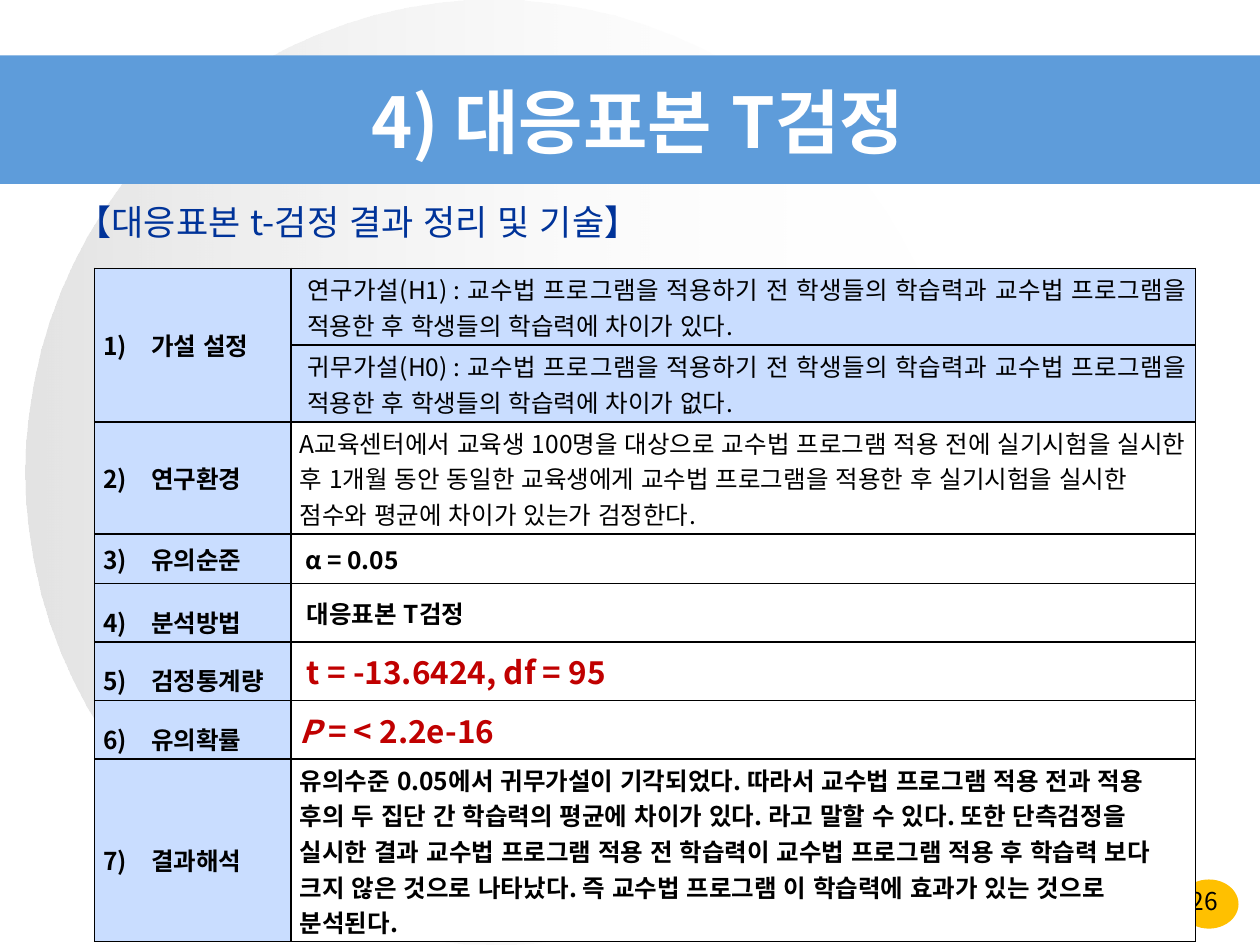
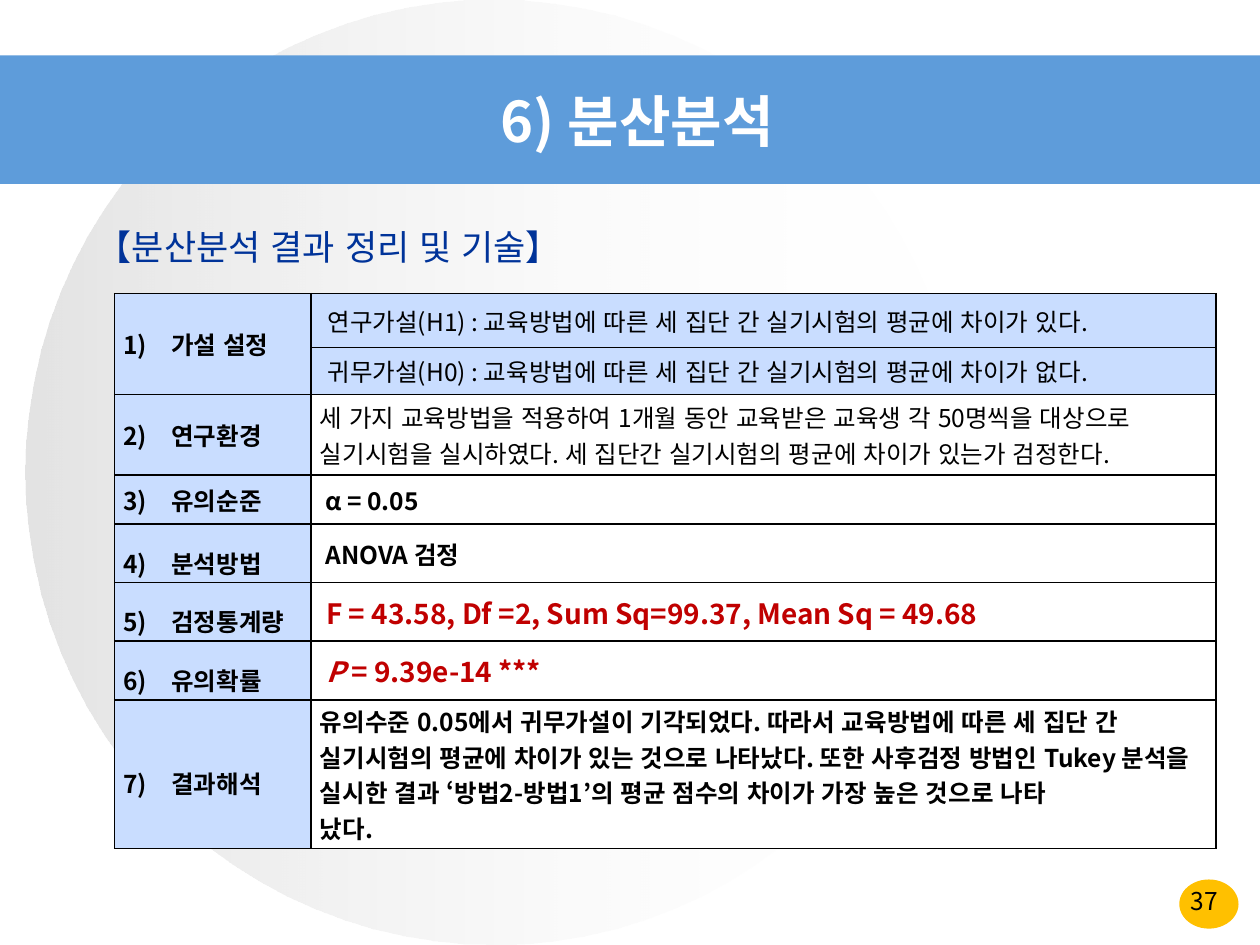
import pptx
import pptx.util
import pptx.dml.color
import pptx.enum.lang
import pptx.enum.shapes
import pptx.enum.text
import pptx.oxml
import pptx.oxml.ns

Inches, Pt = pptx.util.Inches, pptx.util.Pt
RGB = pptx.dml.color.RGBColor
SHAPE = pptx.enum.shapes.MSO_SHAPE
ALIGN = pptx.enum.text.PP_ALIGN
MIDDLE = pptx.enum.text.MSO_ANCHOR.MIDDLE
KOREAN = pptx.enum.lang.MSO_LANGUAGE_ID.KOREAN

FONT = "Noto Sans CJK KR"
WHITE = RGB(0xFF, 0xFF, 0xFF)
BLACK = RGB(0, 0, 0)
BAND = RGB(0x5E, 0x9C, 0xDA)
GOLD = RGB(0xFF, 0xC0, 0x00)
NAVY = RGB(0x00, 0x33, 0x99)
RED = RGB(0xC0, 0x00, 0x00)
PALE = RGB(0xC9, 0xDD, 0xFF)

W, H = 10, 7.5
COLS = [1.56, 7.18]
SHORT_ROWS = [0.39, 0.465, 0.465, 0.465]
LABELS = ["가설 설정", "연구환경", "유의순준", "분석방법", "검정통계량", "유의확률", "결과해석"]
STAT_ROWS = (5, 6)

SLIDES = [
    {
        "title": "4) 대응표본 T검정", "title_size": 40, "page": "26",
        "heading": "【대응표본 t-검정 결과 정리 및 기술】", "heading_at": (0.51, 1.55),
        "table_at": (0.75, 2.13), "top_rows": [0.61, 0.61, 0.89], "last_row": 1.45,
        "stat_size": 18,
        "results": [
            "연구가설(H1) : 교수법 프로그램을 적용하기 전 학생들의 학습력과 교수법 프로그램을 적용한 후 학생들의 학습력에 차이가 있다.",
            "귀무가설(H0) : 교수법 프로그램을 적용하기 전 학생들의 학습력과 교수법 프로그램을 적용한 후 학생들의 학습력에 차이가 없다.",
            "A교육센터에서 교육생 100명을 대상으로 교수법 프로그램 적용 전에 실기시험을 실시한 후 1개월 동안 동일한 교육생에게 교수법 프로그램을 적용한 후 실기시험을 실시한 점수와 평균에 차이가 있는가 검정한다.",
            " α = 0.05",
            " 대응표본 T검정",
            " t = -13.6424, df = 95",
            ["P", " = < 2.2e-16"],
            "유의수준 0.05에서 귀무가설이 기각되었다. 따라서 교수법 프로그램 적용 전과 적용 후의 두 집단 간 학습력의 평균에 차이가 있다. 라고 말할 수 있다. 또한 단측검정을 실시한 결과 교수법 프로그램 적용 전 학습력이 교수법 프로그램 적용 후 학습력 보다 크지 않은 것으로 나타났다. 즉 교수법 프로그램 이 학습력에 효과가 있는 것으로 분석된다.",
        ],
    },
    {
        "title": "6) 분산분석", "title_size": 32, "page": "37",
        "heading": "【분산분석 결과 정리 및 기술】", "heading_at": (0.67, 1.75),
        "table_at": (0.91, 2.33), "top_rows": [0.43, 0.37, 0.64], "last_row": 1.18,
        "stat_size": 16,
        "results": [
            "연구가설(H1) : 교육방법에 따른 세 집단 간 실기시험의 평균에 차이가 있다.",
            "귀무가설(H0) : 교육방법에 따른 세 집단 간 실기시험의 평균에 차이가 없다.",
            "세 가지 교육방법을 적용하여 1개월 동안 교육받은 교육생 각 50명씩을 대상으로 실기시험을 실시하였다. 세 집단간 실기시험의 평균에 차이가 있는가 검정한다.",
            " α = 0.05",
            " ANOVA 검정",
            " F = 43.58, Df =2, Sum Sq=99.37, Mean Sq = 49.68",
            [" ", "P", " = 9.39e-14 ***"],
            "유의수준 0.05에서 귀무가설이 기각되었다. 따라서 교육방법에 따른 세 집단 간 실기시험의 평균에 차이가 있는 것으로 나타났다. 또한 사후검정 방법인 Tukey 분석을 실시한 결과 ‘방법2-방법1’의 평균 점수의 차이가 가장 높은 것으로 나타\n났다.",
        ],
    },
]


def add_xml(parent, xml, index=None):
    head, sep, rest = xml.partition(" ")
    el = pptx.oxml.parse_xml(f"{head} {pptx.oxml.ns.nsdecls('a')} {rest}")
    parent.insert(len(parent) if index is None else index, el)


def style(p, size, color, bold=False, align=None):
    p.alignment = align
    p.font.name = FONT
    p.font.size = Pt(size)
    p.font.bold = bold
    p.font.color.rgb = color
    add_xml(p.font._element, f'<a:ea typeface="{FONT}"/>')
    for r in p.runs:
        r.font.language_id = KOREAN
        r.font._element.set("kern", "0")


def add_text(slide, box, text, size, color, bold=False, align=None, anchor=None, top=0.05):
    tf = slide.shapes.add_textbox(*map(Inches, box)).text_frame
    tf.word_wrap = True
    tf.margin_top = Inches(top)
    tf.vertical_anchor = anchor
    tf.text = text
    style(tf.paragraphs[0], size, color, bold, align)


def add_plain(slide, kind, box, color):
    sp = slide.shapes.add_shape(kind, *map(Inches, box))
    sp.shadow.inherit = False
    sp.line.fill.background()
    sp.fill.solid()
    sp.fill.fore_color.rgb = color
    return sp


def add_background(slide):
    add_plain(slide, SHAPE.OVAL, (9.36, 6.98, 0.47, 0.39), GOLD)
    sp = add_plain(slide, SHAPE.OVAL, (0.2, 0, 7.44, H), WHITE)
    sppr = sp._element.spPr
    solid = sppr.find(pptx.oxml.ns.qn("a:solidFill"))
    index = sppr.index(solid)
    sppr.remove(solid)
    add_xml(sppr, '<a:gradFill rotWithShape="1"><a:gsLst>'
            '<a:gs pos="0"><a:srgbClr val="C0C0C0"><a:alpha val="44000"/></a:srgbClr></a:gs>'
            '<a:gs pos="100000"><a:srgbClr val="FFFFFF"><a:alpha val="0"/></a:srgbClr></a:gs>'
            '</a:gsLst><a:lin ang="0" scaled="1"/></a:gradFill>', index)
    add_plain(slide, SHAPE.RECTANGLE, (0, 0.44, W, 1.02), BAND)


def format_cell(cell, color):
    cell.fill.solid()
    cell.fill.fore_color.rgb = color
    cell.vertical_anchor = MIDDLE
    cell.margin_left = cell.margin_right = Inches(0.07)
    cell.margin_top = cell.margin_bottom = Inches(0.02)
    tcpr = cell._tc.get_or_add_tcPr()
    for i, side in enumerate("LRTB"):
        add_xml(tcpr, f'<a:ln{side} w="12700"><a:solidFill><a:srgbClr val="{BLACK}"/>'
                f'</a:solidFill></a:ln{side}>', i)


def fill_label(cell, number):
    cell.text = LABELS[number - 1]
    p = cell.text_frame.paragraphs[0]
    if number > 3:
        p.line_spacing = 1.5
    ppr = p._p.get_or_add_pPr()
    ppr.set("marL", str(Inches(0.38)))
    ppr.set("indent", str(-Inches(0.38)))
    add_xml(ppr, f'<a:buAutoNum type="arabicParenR" startAt="{number}"/>')
    style(p, 14, BLACK, True)


def fill_result(cell, row, content, stat_size):
    tf = cell.text_frame
    if isinstance(content, list):
        for part in content:
            r = tf.paragraphs[0].add_run()
            r.text = part
            if part == "P":
                r.font.italic = True
    else:
        tf.text = content
    for p in tf.paragraphs:
        if row < 2:
            p._p.get_or_add_pPr().set("marL", str(Inches(0.06)))
        stat = row in STAT_ROWS
        style(p, stat_size if stat else 14, RED if stat else BLACK, row > 2,
              ALIGN.JUSTIFY if row < 2 else None)


def add_results(slide, data):
    heights = data["top_rows"] + SHORT_ROWS + [data["last_row"]]
    box = (*data["table_at"], sum(COLS), sum(heights))
    table = slide.shapes.add_table(len(heights), len(COLS), *map(Inches, box)).table
    table.first_row = table.horz_banding = False
    for col, width in zip(table.columns, COLS):
        col.width = Inches(width)
    for i, (height, content) in enumerate(zip(heights, data["results"])):
        table.rows[i].height = Inches(height)
        label, result = table.cell(i, 0), table.cell(i, 1)
        format_cell(label, PALE)
        format_cell(result, PALE if i < 2 else WHITE)
        if i != 1:
            fill_label(label, max(i, 1))
        fill_result(result, i, content, data["stat_size"])
    table.cell(0, 0).merge(table.cell(1, 0))


def main():
    prs = pptx.Presentation()
    prs.slide_width, prs.slide_height = Inches(W), Inches(H)
    for data in SLIDES:
        slide = prs.slides.add_slide(prs.slide_layouts[6])
        add_background(slide)
        add_text(slide, (*data["heading_at"], 8.52, 0.5), data["heading"], 20, NAVY, top=0.04)
        add_text(slide, (9.12, 6.98, 0.88, 0.29), data["page"], 14, BLACK, align=ALIGN.CENTER)
        add_results(slide, data)
        add_text(slide, (0.12, 0.58, 9.88, 0.75), data["title"], data["title_size"], WHITE,
                 True, ALIGN.CENTER, MIDDLE)
    prs.save("out.pptx")


if __name__ == "__main__":
    main()
